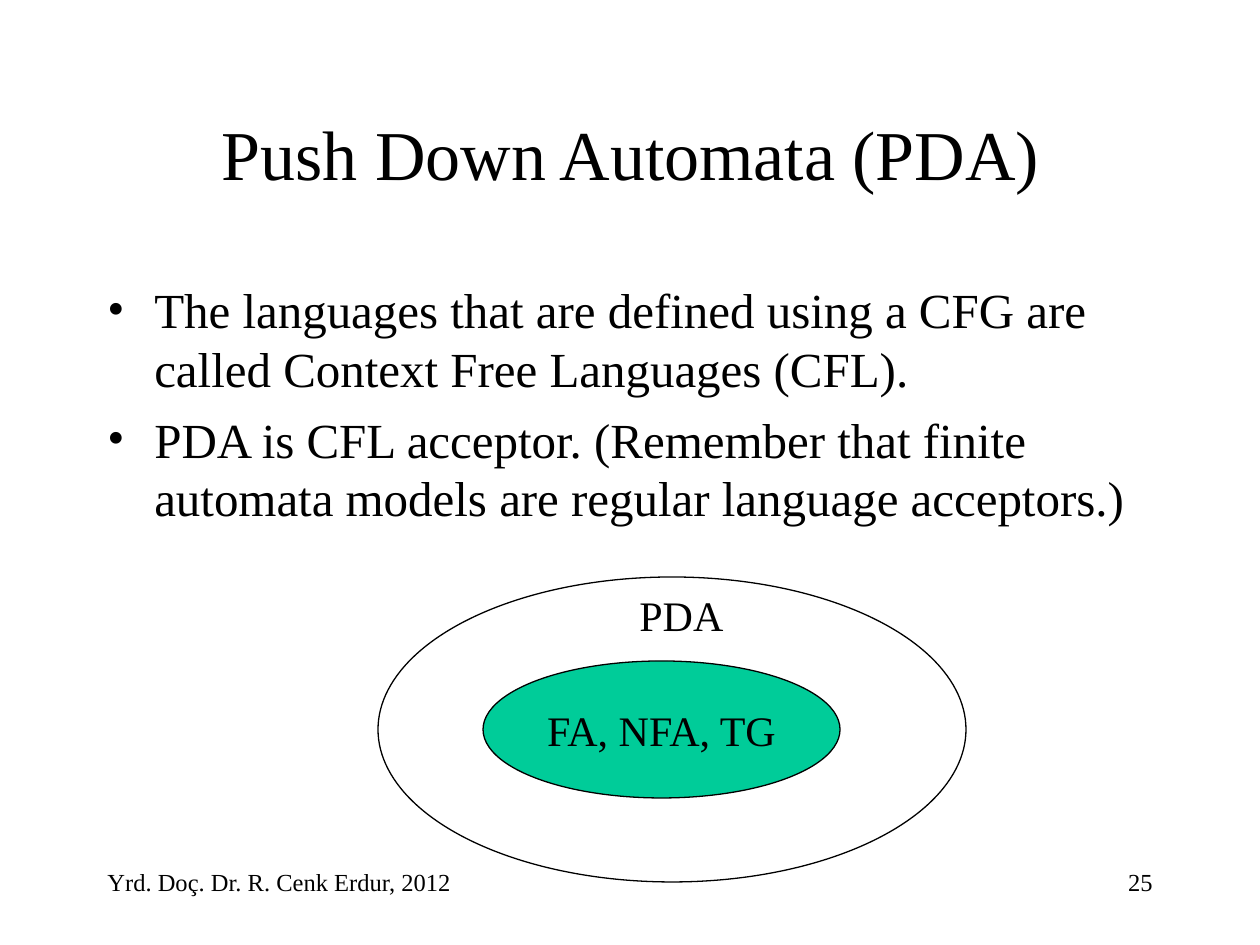
from dataclasses import dataclass

from pptx import Presentation
from pptx import util as u
from pptx.dml.color import RGBColor
from pptx.enum import shapes, text
from pptx.oxml.ns import qn
from lxml import etree


@dataclass(frozen=True)
class Theme:
    """Colours, font and type sizes of the slide."""
    font: str = "Times New Roman"
    ink: RGBColor = RGBColor(0, 0, 0)
    green: RGBColor = RGBColor(0x00, 0xCC, 0x99)
    title: int = 40
    body: int = 28
    label: int = 24
    foot: int = 14


THEME = Theme()
SCALE = u.Inches(1) / 126
LEFT, WIDE = 95, 1071


def px(*nums):
    """Turn px lengths into EMU."""
    return [u.Emu(round(n * SCALE)) for n in nums]


def write(frame, lines, size, align=text.PP_ALIGN.LEFT):
    """Set the lines of a frame and format their runs."""
    frame.text = "\n".join(lines)
    for para in frame.paragraphs:
        para.alignment = align
        for run in para.runs:
            font = run.font
            font.name, font.size = THEME.font, u.Pt(size)
            font.color.rgb = THEME.ink


def add_title(slide, words, box):
    """Place and format the title placeholder."""
    title = slide.shapes.title
    title.left, title.top, title.width, title.height = px(*box)
    frame = title.text_frame
    frame.vertical_anchor = text.MSO_ANCHOR.MIDDLE
    frame.auto_size = text.MSO_AUTO_SIZE.NONE
    write(frame, [words], THEME.title, text.PP_ALIGN.CENTER)


def add_text(slide, lines, box, size, align=text.PP_ALIGN.LEFT):
    """Add a wrapping text box and return its frame."""
    frame = slide.shapes.add_textbox(*px(*box)).text_frame
    frame.word_wrap = True
    write(frame, lines, size, align)
    return frame


def add_label(slide, words, box):
    """Add a one-line label whose box fits its text."""
    frame = add_text(slide, [words], box, THEME.label)
    frame.word_wrap = False
    frame.auto_size = text.MSO_AUTO_SIZE.SHAPE_TO_FIT_TEXT


def add_list(slide, lines, box):
    """Add a bulleted list with hanging indents."""
    frame = add_text(slide, lines, box, THEME.body)
    indent = px(47)[0]
    for para in frame.paragraphs:
        para.space_before = u.Pt(7)
        props = para._p.get_or_add_pPr()
        props.set("marL", str(indent))
        props.set("indent", str(-indent))
        etree.SubElement(props, qn("a:buFont"), typeface=THEME.font)
        etree.SubElement(props, qn("a:buChar"), char="•")


def add_oval(slide, box, fill=None, words=None):
    """Add an outlined ellipse, filled and labelled on request."""
    oval = slide.shapes.add_shape(shapes.MSO_SHAPE.OVAL, *px(*box))
    oval.shadow.inherit = False
    oval.line.color.rgb = THEME.ink
    oval.line.width = u.Pt(0.75)
    if fill is None:
        oval.fill.background()
    else:
        oval.fill.solid()
        oval.fill.fore_color.rgb = fill
    if words:
        frame = oval.text_frame
        frame.word_wrap = False
        frame.vertical_anchor = text.MSO_ANCHOR.MIDDLE
        write(frame, [words], THEME.label, text.PP_ALIGN.CENTER)


def main():
    """Build and save the slide."""
    deck = Presentation()
    deck.slide_width, deck.slide_height = px(1260, 945)
    slide = deck.slides.add_slide(deck.slide_layouts[5])
    add_text(slide, ["Yrd. Doç. Dr. R. Cenk Erdur, 2012"],
             (LEFT, 861, 735, 63), THEME.foot)
    add_text(slide, ["25"], (903, 861, 262, 63), THEME.foot,
             text.PP_ALIGN.RIGHT)
    add_title(slide, "Push Down Automata (PDA)", (LEFT, 85, WIDE, 136))
    add_list(slide, [
        "The languages that are defined using a CFG are called "
        "Context Free Languages (CFL).",
        "PDA is CFL acceptor. (Remember that finite automata models "
        "are regular language acceptors.)",
    ], (LEFT, 273, WIDE, 299))
    add_oval(slide, (483, 661, 357, 137), THEME.green, "FA, NFA, TG")
    add_oval(slide, (378, 577, 588, 305))
    add_label(slide, "PDA", (627, 583, 110, 63))
    deck.save("out.pptx")


if __name__ == "__main__":
    main()
